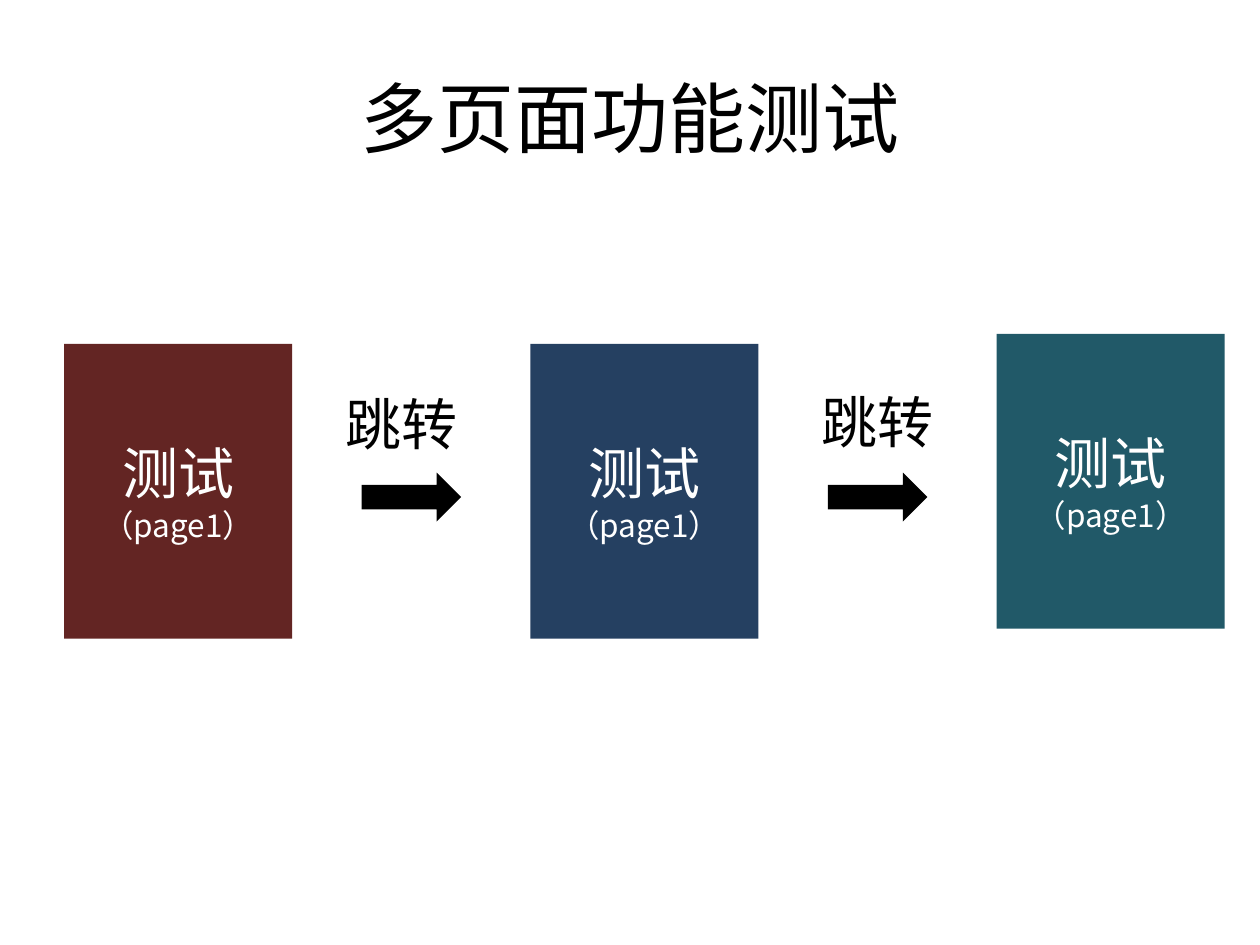
from dataclasses import dataclass

from lxml.etree import SubElement
from pptx import Presentation
from pptx.dml.color import RGBColor
from pptx.enum.shapes import MSO_SHAPE
from pptx.enum.text import MSO_ANCHOR, PP_ALIGN
from pptx.oxml.ns import qn
from pptx.shapes.autoshape import Shape
from pptx.slide import Slide
from pptx.text.text import TextFrame
from pptx.util import Inches, Pt

BLACK = RGBColor(0x00, 0x00, 0x00)
WHITE = RGBColor(0xFF, 0xFF, 0xFF)
MAROON = RGBColor(0x63, 0x25, 0x23)
NAVY = RGBColor(0x25, 0x40, 0x61)
TEAL = RGBColor(0x21, 0x59, 0x68)

CJK_FONT = "Noto Sans CJK SC"
SLIDE_WIDTH, SLIDE_HEIGHT = Inches(10), Inches(7.5)
COLUMN, ROW = SLIDE_WIDTH / 100, SLIDE_HEIGHT / 75
PAGE_PITCH = 37
FIRST_PAGE_LEFT, FIRST_ARROW_LEFT = 5.1, 28.7


@dataclass(frozen=True)
class Area:
    left: float
    top: float
    width: float
    height: float

    def emu(self) -> tuple[int, int, int, int]:
        """Convert grid columns and rows to slide lengths."""
        return (round(self.left * COLUMN), round(self.top * ROW),
                round(self.width * COLUMN), round(self.height * ROW))


@dataclass(frozen=True)
class Line:
    text: str
    size: int
    font: str
    color: RGBColor
    align: PP_ALIGN = PP_ALIGN.CENTER


@dataclass(frozen=True)
class Page:
    top: float
    color: RGBColor


@dataclass(frozen=True)
class Jump:
    label_left: float
    label_top: float


PAGES = (Page(27.3, MAROON), Page(27.3, NAVY), Page(26.5, TEAL))
JUMPS = (Jump(26.4, 30.4), Jump(64.2, 30.3))
PAGE_LINES = (Line("测试", 32, CJK_FONT, WHITE), Line("（page1）", 18, CJK_FONT, WHITE))
TITLE = Line("多页面功能测试", 44, "Karla", BLACK)
JUMP_LABEL = Line("跳转", 32, "Arial", BLACK, PP_ALIGN.LEFT)


def write_lines(frame: TextFrame, lines: tuple[Line, ...], anchor: MSO_ANCHOR) -> None:
    """Write one styled paragraph per line."""
    frame.word_wrap = True
    frame.vertical_anchor = anchor
    for index, line in enumerate(lines):
        paragraph = frame.add_paragraph() if index else frame.paragraphs[0]
        paragraph.text = line.text
        paragraph.alignment = line.align
        font = paragraph.font
        font.size, font.name = Pt(line.size), line.font
        font.color.rgb = line.color
        properties = paragraph._p.pPr.find(qn("a:defRPr"))
        SubElement(properties, qn("a:ea")).set("typeface", CJK_FONT)


def add_text(slide: Slide, area: Area, line: Line, anchor: MSO_ANCHOR) -> None:
    """Add a text box holding a single line."""
    write_lines(slide.shapes.add_textbox(*area.emu()).text_frame, (line,), anchor)


def add_block(slide: Slide, kind: MSO_SHAPE, area: Area, color: RGBColor) -> Shape:
    """Add a flat filled shape without outline."""
    block = slide.shapes.add_shape(kind, *area.emu())
    block.shadow.inherit = False
    block.fill.solid()
    block.fill.fore_color.rgb = color
    block.line.fill.background()
    return block


def main() -> None:
    """Build the page-jump slide."""
    presentation = Presentation()
    presentation.slide_width, presentation.slide_height = SLIDE_WIDTH, SLIDE_HEIGHT
    slide = presentation.slides.add_slide(presentation.slide_layouts[6])

    add_text(slide, Area(5, 3, 90, 12.5), TITLE, MSO_ANCHOR.MIDDLE)
    for index, page in enumerate(PAGES):
        area = Area(FIRST_PAGE_LEFT + index * PAGE_PITCH, page.top, 18.1, 23.4)
        card = add_block(slide, MSO_SHAPE.RECTANGLE, area, page.color)
        write_lines(card.text_frame, PAGE_LINES, MSO_ANCHOR.MIDDLE)
    for index, jump in enumerate(JUMPS):
        area = Area(FIRST_ARROW_LEFT + index * PAGE_PITCH, 37.5, 7.9, 3.9)
        add_block(slide, MSO_SHAPE.RIGHT_ARROW, area, BLACK)
        label_area = Area(jump.label_left, jump.label_top, 11.8, 6.4)
        add_text(slide, label_area, JUMP_LABEL, MSO_ANCHOR.TOP)

    presentation.save("out.pptx")


if __name__ == "__main__":
    main()
